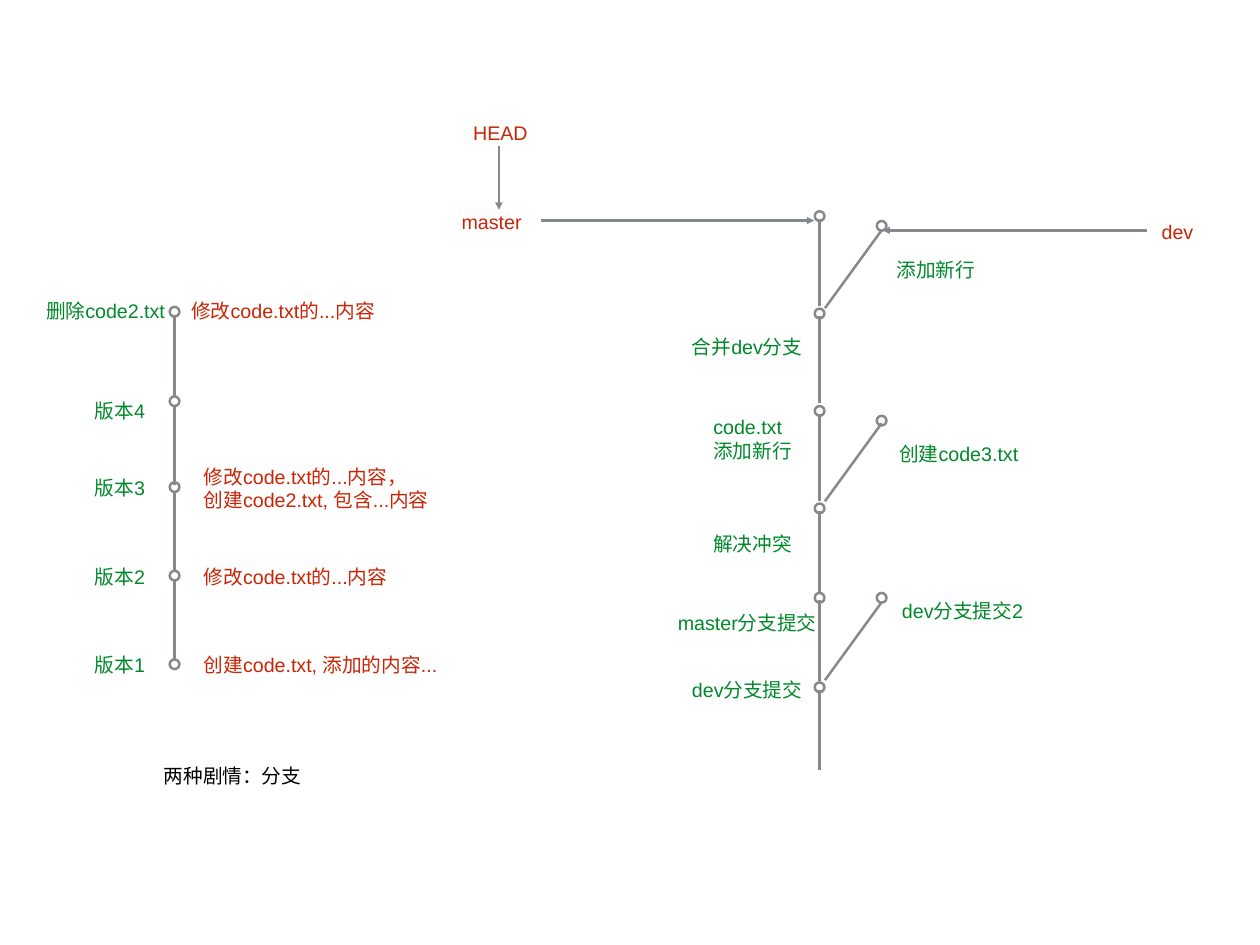
from dataclasses import dataclass

from lxml.etree import SubElement
from pptx import Presentation
from pptx.dml.color import RGBColor as RGB
from pptx.enum.shapes import MSO_CONNECTOR as CONN, MSO_SHAPE as SHAPE
from pptx.enum.text import MSO_ANCHOR as ANCHOR
from pptx.oxml.ns import qn
from pptx.util import Inches, Pt


@dataclass(frozen=True)
class Theme:
    """Colours, font and sizes of the branch diagram."""
    red: RGB = RGB(0xC8, 0x25, 0x06)
    green: RGB = RGB(0x00, 0x88, 0x2B)
    black: RGB = RGB(0, 0, 0)
    grey: RGB = RGB(0x85, 0x88, 0x8D)
    font: str = "Arial"
    size: int = 16
    line: int = 2
    inset: float = 0.06


class Diagram:
    """Draws the commit graph on one slide in one style."""

    def __init__(self, s, theme):
        self.s, self.theme = s, theme

    def text(self, x, y, w, h, lines, color):
        t = self.theme
        tf = self.s.shapes.add_textbox(Inches(x), Inches(y), Inches(w), Inches(h)).text_frame
        tf.word_wrap = True
        tf.vertical_anchor = ANCHOR.MIDDLE
        tf.margin_left = tf.margin_right = Inches(t.inset)
        tf.margin_top = tf.margin_bottom = Inches(t.inset)
        tf.text = lines
        for p in tf.paragraphs:
            p.font.name, p.font.size = t.font, Pt(t.size)
            p.font.color.rgb = color

    def line(self, x1, y1, x2, y2, arrow=False):
        c = self.s.shapes.add_connector(
            CONN.STRAIGHT, Inches(x1), Inches(y1), Inches(x2), Inches(y2))
        c.line.color.rgb = self.theme.grey
        c.line.width = Pt(self.theme.line)
        if arrow:
            SubElement(c.line._get_or_add_ln(), qn("a:tailEnd"), type="triangle")
        SubElement(c._element.spPr, qn("a:effectLst"))

    def commit(self, x, y, d=0.11):
        sp = self.s.shapes.add_shape(
            SHAPE.OVAL, Inches(x - d / 2), Inches(y - d / 2), Inches(d), Inches(d))
        sp.shadow.inherit = False
        sp.fill.background()
        sp.line.color.rgb = self.theme.grey
        sp.line.width = Pt(self.theme.line)

    def history(self, x, commits, gap):
        for y, length in commits:
            if length:
                self.line(x, y + gap + length, x, y + gap)
            self.commit(x, y)


def main():
    prs = Presentation()
    prs.slide_width, prs.slide_height = Inches(14.22), Inches(10.67)
    theme = Theme()
    d = Diagram(prs.slides.add_slide(prs.slide_layouts[6]), theme)

    d.history(1.97, [(7.5, 0), (6.5, 0.91), (5.5, 0.91), (4.53, 0.91), (3.52, 0.91)], 0.04)
    d.history(9.25, [(7.76, 0.91), (6.75, 0.91), (5.74, 0.91),
                     (4.64, 0.99), (3.54, 0.98), (2.44, 0.98)], 0.03)
    for fork, tip in [(7.68, 6.75), (5.66, 4.75), (3.48, 2.55)]:
        d.line(9.31, fork, 9.95, fork - 0.88)
        d.commit(9.95, tip)

    for pointer in [(5.63, 1.65, 5.63, 2.37), (6.11, 2.49, 9.19, 2.49),
                    (12.95, 2.6, 9.96, 2.6)]:
        d.line(*pointer, arrow=True)
    for x, y, w, h, name in [(5.28, 1.25, 0.99, 0.5, "HEAD"),
                             (5.15, 2.31, 0.82, 0.38, "master"),
                             (13.05, 2.42, 0.5, 0.38, "dev")]:
        d.text(x, y, w, h, name, theme.red)

    for n, y in enumerate([7.3, 6.3, 5.3, 4.43], 1):
        d.text(1.01, y, 0.69, 0.42, f"版本{n}", theme.green)
    for x, y, w, h, change in [
            (2.24, 7.3, 2.77, 0.42, "创建code.txt, 添加的内容..."),
            (2.24, 6.3, 2.2, 0.42, "修改code.txt的...内容"),
            (2.24, 5.15, 2.67, 0.72, "修改code.txt的...内容，\n创建code2.txt, 包含...内容"),
            (2.1, 3.3, 2.2, 0.42, "修改code.txt的...内容")]:
        d.text(x, y, w, h, change, theme.red)
    for x, y, w, h, message in [
            (0.46, 3.3, 1.47, 0.42, "删除code2.txt"),
            (7.75, 7.58, 1.37, 0.42, "dev分支提交"),
            (10.12, 6.68, 1.5, 0.42, "dev分支提交2"),
            (7.59, 6.82, 1.69, 0.42, "master分支提交"),
            (7.99, 5.93, 1.02, 0.42, "解决冲突"),
            (10.09, 4.91, 1.47, 0.42, "创建code3.txt"),
            (7.99, 4.61, 1.02, 0.68, "code.txt\n添加新行"),
            (7.75, 3.7, 1.37, 0.42, "合并dev分支"),
            (10.06, 2.83, 1.02, 0.42, "添加新行")]:
        d.text(x, y, w, h, message, theme.green)
    d.text(1.79, 8.55, 1.7, 0.42, "两种剧情：分支", theme.black)

    prs.save("out.pptx")


if __name__ == "__main__":
    main()
